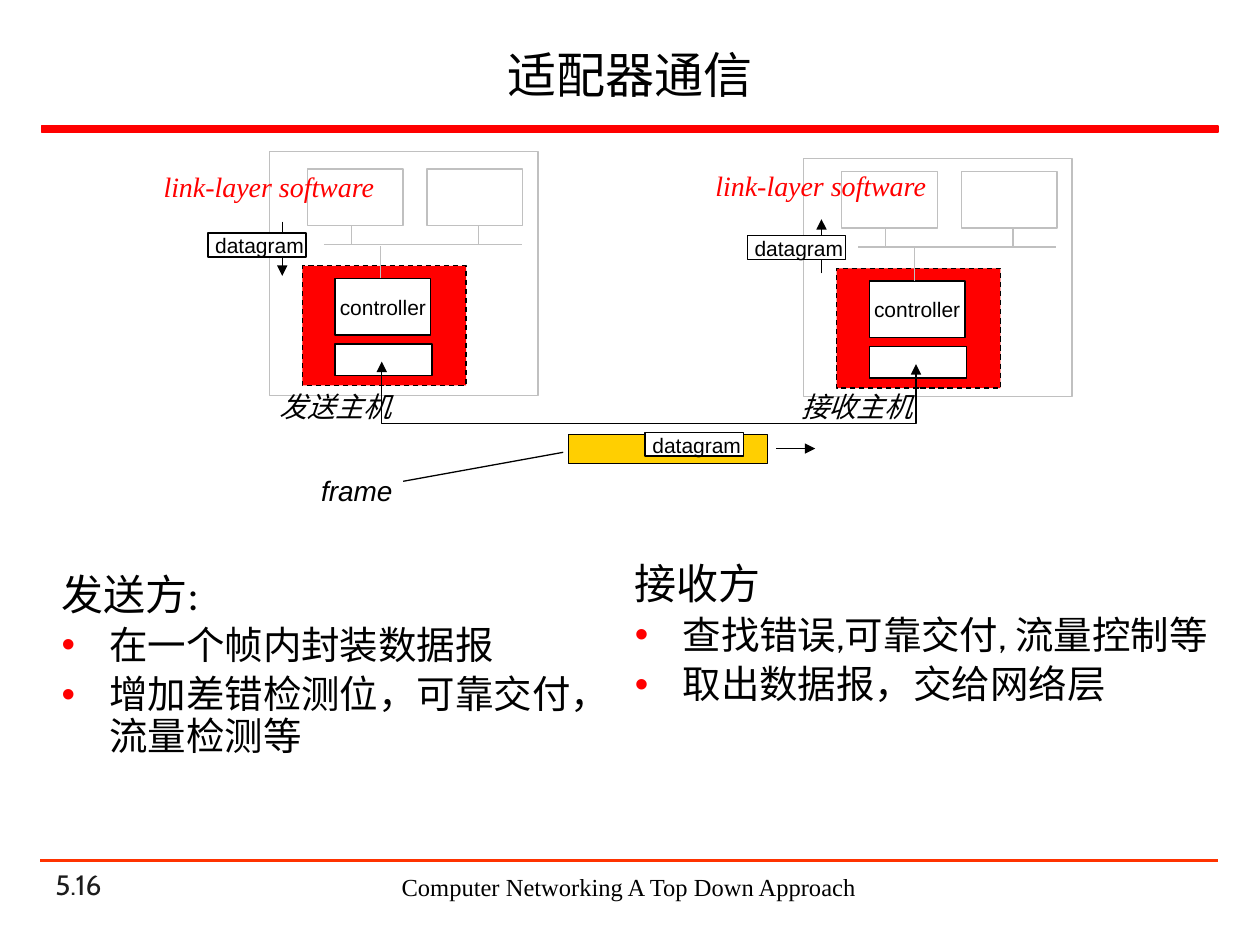
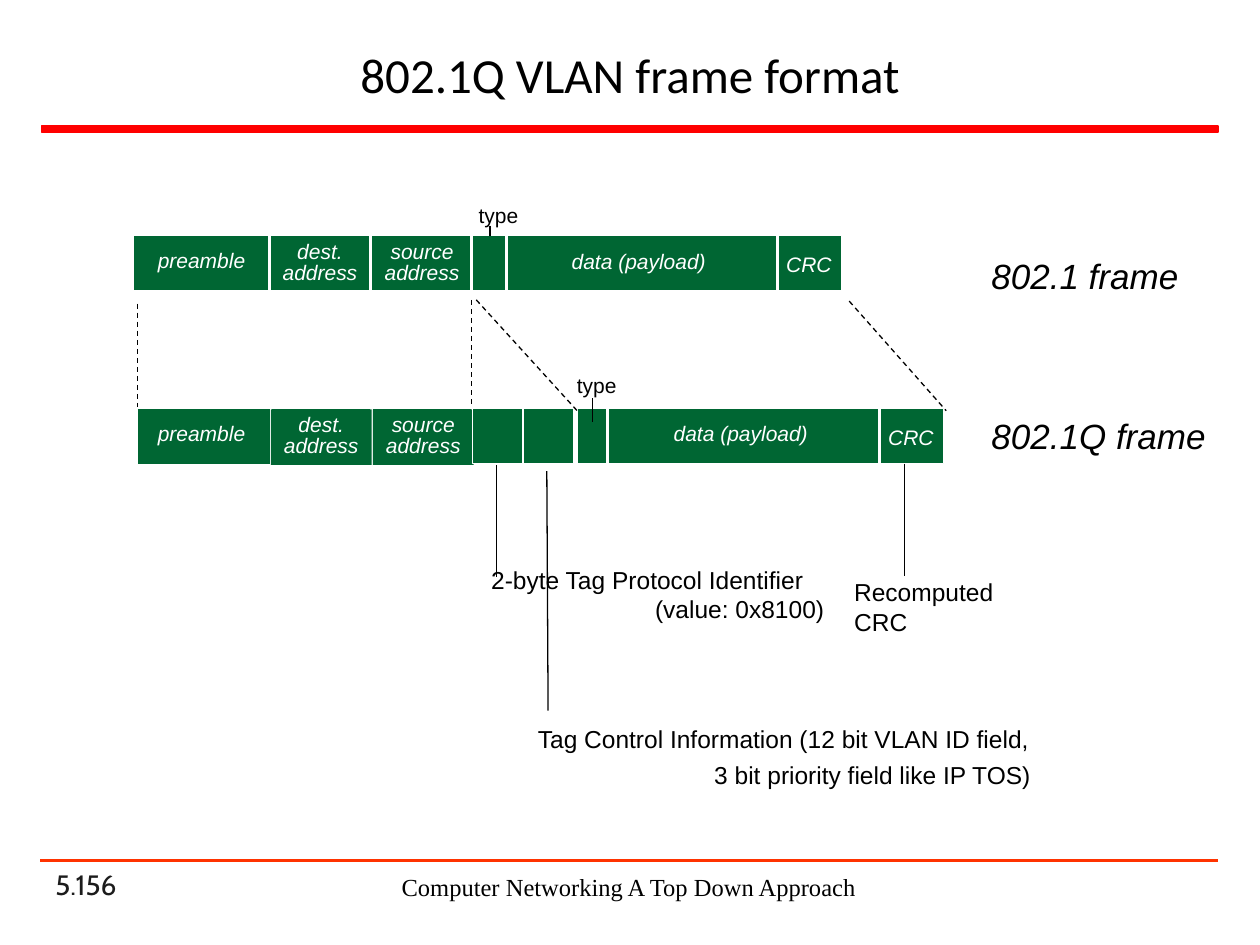
from dataclasses import dataclass
from typing import NamedTuple

from lxml import etree
from pptx import Presentation
from pptx.dml.color import RGBColor
from pptx.enum.dml import MSO_LINE
from pptx.enum.shapes import MSO_CONNECTOR, MSO_SHAPE
from pptx.enum.text import MSO_ANCHOR, MSO_AUTO_SIZE, PP_ALIGN
from pptx.oxml.ns import qn
from pptx.util import Inches, Pt

RECTANGLE = MSO_SHAPE.RECTANGLE
STRAIGHT = MSO_CONNECTOR.STRAIGHT
DASH = MSO_LINE.DASH
LEFT, CENTER = PP_ALIGN.LEFT, PP_ALIGN.CENTER
TOP, MIDDLE, BOTTOM = MSO_ANCHOR.TOP, MSO_ANCHOR.MIDDLE, MSO_ANCHOR.BOTTOM
GROW = MSO_AUTO_SIZE.SHAPE_TO_FIT_TEXT

WIDTH, HEIGHT = Inches(10), Inches(7.5)
COLUMNS, ROWS = 100, 75
COLORS = {
    "black": "000000", "white": "FFFFFF", "red": "FF0000", "rule": "FF3300",
    "number": "1C1C1C", "gray": "C0C0C0", "yellow": "FFCF01", "green": "006633",
}
SANS, SERIF, BODY, HEADING = "Arial", "Times New Roman", "Cabin", "Calibri"
HANGING = 3.8


class Area(NamedTuple):
    left: float
    top: float
    width: float
    height: float


class Point(NamedTuple):
    column: float
    row: float


@dataclass
class Label:
    text: str
    area: Area


@dataclass
class Bar:
    area: Area
    dividers: list[float]
    labels: list[Label]
    label_fill: str | None = None


@dataclass
class Host:
    shift: Point
    outline: Area
    name: Label
    software: Label
    datagram: Point
    arrow: tuple[Point, Point]


def across(columns: float) -> int:
    return round(WIDTH * columns / COLUMNS)


def down(rows: float) -> int:
    return round(HEIGHT * rows / ROWS)


def place(area: Area) -> tuple[int, int, int, int]:
    return across(area.left), down(area.top), across(area.width), down(area.height)


def paint(name: str) -> RGBColor:
    return RGBColor.from_string(COLORS[name])


def style_line(line, color: str, width: float, dashed=False, head=False, tail=False) -> None:
    line.color.rgb = paint(color)
    line.width = Pt(width)
    if dashed:
        line.dash_style = DASH
    outline = line._get_or_add_ln()
    for tag, wanted in (("a:headEnd", head), ("a:tailEnd", tail)):
        if wanted:
            etree.SubElement(outline, qn(tag)).set("type", "triangle")


def draw_box(page, area: Area, fill="white", line="black", width=0.75, dashed=False):
    box = page.shapes.add_shape(RECTANGLE, *place(area))
    box.shadow.inherit = False
    box.fill.solid()
    box.fill.fore_color.rgb = paint(fill)
    style_line(box.line, line, width, dashed)
    return box


def draw_line(page, start: Point, end: Point, color="black", width=0.75, **ends) -> None:
    line = page.shapes.add_connector(
        STRAIGHT, across(start.column), down(start.row), across(end.column), down(end.row))
    style_line(line.line, color, width, **ends)
    etree.SubElement(line._element.spPr, qn("a:effectLst"))


def draw_path(page, points: list[Point]) -> None:
    corners = [(across(point.column), down(point.row)) for point in points]
    builder = page.shapes.build_freeform(*corners[0], scale=1.0)
    builder.add_line_segments(corners[1:], close=False)
    wire = builder.convert_to_shape()
    wire.shadow.inherit = False
    wire.fill.background()
    style_line(wire.line, "black", 0.75, head=True, tail=True)


def add_frame(page, area: Area, anchor=TOP, wrap=False, fill=None):
    box = page.shapes.add_textbox(*place(area))
    if fill:
        box.fill.solid()
        box.fill.fore_color.rgb = paint(fill)
    frame = box.text_frame
    frame.word_wrap = wrap
    frame.vertical_anchor = anchor
    if not wrap:
        frame.auto_size = GROW
    return frame


def add_span(para, text: str, size: float, font: str, color="black", italic=False) -> None:
    span = para.add_run()
    span.text = text
    span.font.size = Pt(size)
    span.font.name = font
    span.font.italic = italic
    span.font.color.rgb = paint(color)


def write(frame, text: str, *, size=12, font=SANS, color="black", italic=False,
          align=LEFT, spacing=None, before=0, margin=0, indent=0, bullet=False):
    para = frame.add_paragraph() if frame.text else frame.paragraphs[0]
    para.alignment = align
    settings = para._p.get_or_add_pPr()
    settings.set("marL", str(across(margin)))
    settings.set("indent", str(across(indent)))
    if bullet:
        tint = etree.SubElement(settings, qn("a:buClr"))
        etree.SubElement(tint, qn("a:srgbClr")).set("val", COLORS["red"])
        etree.SubElement(settings, qn("a:buFont")).set("typeface", SANS)
        etree.SubElement(settings, qn("a:buChar")).set("char", "•")
    if spacing:
        para.line_spacing = spacing
    if before:
        para.space_before = Pt(before)
    add_span(para, text, size, font, color, italic)
    return para


def write_label(page, label: Label, **style) -> None:
    write(add_frame(page, label.area), label.text, **style)


def write_bullets(frame, items: list[str]) -> None:
    for item in items:
        write(frame, item, size=22, font=BODY, spacing=0.9, before=4.4,
              margin=HANGING, indent=-HANGING, bullet=True)


def add_page(deck, title: str, number: str):
    page = deck.slides.add_slide(deck.slide_layouts[6])
    write(add_frame(page, Area(3.4, 69.8, 20.8, 2.2), BOTTOM, True), number,
          size=16, font=BODY, color="number")
    draw_box(page, Area(3.3, 10, 93.4, 0.5), "red", "red", 1)
    draw_line(page, Point(3.2, 68.3), Point(96.7, 68.3), "rule", 1.5)
    write(add_frame(page, Area(29.5, 68.7, 40.8, 3.4), wrap=True),
          "Computer Networking A Top Down Approach", size=14, font=SERIF, align=CENTER)
    write(add_frame(page, Area(3.3, 2.4, 93.4, 7), MIDDLE, True), title,
          size=28, font=HEADING, align=CENTER)
    return page


def draw_datagram(page, corner: Point) -> None:
    draw_box(page, Area(corner.column, corner.row, 7.8, 1.9))
    write_label(page, Label("datagram", Area(corner.column - 0.4, corner.row - 0.5, 9.4, 3)))


def draw_host(page, host: Host) -> None:
    column, row = host.shift

    def moved(left: float, top: float, width: float, height: float) -> Area:
        return Area(left + column, top + row, width, height)

    def wire(x1: float, y1: float, x2: float, y2: float) -> None:
        draw_line(page, Point(x1 + column, y1 + row), Point(x2 + column, y2 + row), "gray")

    draw_box(page, host.outline, line="gray")
    draw_box(page, moved(24, 21.1, 13, 9.5), "red", dashed=True)
    draw_box(page, moved(26.6, 27.3, 7.7, 2.5))
    controller = draw_box(page, moved(26.6, 22.1, 7.6, 4.5)).text_frame
    controller.word_wrap = False
    controller.vertical_anchor = MIDDLE
    write(controller, "controller", align=CENTER)
    wire(25.7, 19.4, 41.4, 19.4)
    wire(30.2, 22.1, 30.2, 19.5)
    for left, stem in ((24.4, 27.9), (33.9, 38)):
        draw_box(page, moved(left, 13.4, 7.6, 4.5), line="gray")
        wire(stem, 19.4, stem, 17.9)
    draw_line(page, *host.arrow, tail=True)
    draw_datagram(page, host.datagram)
    write_label(page, host.name, size=16, italic=True)
    write_label(page, host.software, size=16, font=SERIF, color="red", italic=True)


def draw_bar(page, bar: Bar) -> None:
    draw_box(page, bar.area, "green", "white")
    start = bar.area.top - 0.1
    for column in bar.dividers:
        draw_line(page, Point(column, start), Point(column, start + 4.7), "white", 1.5)
    for label in bar.labels:
        frame = add_frame(page, label.area, fill=bar.label_fill)
        for line in label.text.split("\n"):
            write(frame, line, color="white", italic=True, align=CENTER, spacing=Pt(12))


def build_adapters(deck) -> None:
    page = add_page(deck, "适配器通信", "5.16")
    software = "link-layer software"
    hosts = [
        Host(Point(0, 0), Area(21.4, 12, 21.3, 19.4),
             Label("发送主机", Area(21.2, 30.4, 11, 3.7)),
             Label(software, Area(12, 13, 19.7, 3.7)),
             Point(16.5, 18.5), (Point(22.4, 17.6), Point(22.4, 21.9))),
        Host(Point(42.4, 0.2), Area(63.8, 12.6, 21.3, 18.9),
             Label("接收主机", Area(62.6, 30.4, 11, 3.7)),
             Label(software, Area(55.8, 12.9, 19.7, 3.7)),
             Point(59.3, 18.7), (Point(65.2, 21.7), Point(65.2, 17.4))),
    ]
    for host in hosts:
        draw_host(page, host)
    draw_path(page, [Point(30.3, 28.7), Point(30.3, 33.6), Point(72.7, 33.6), Point(72.7, 28.9)])
    draw_box(page, Area(45.1, 34.5, 15.8, 2.3), "yellow")
    draw_datagram(page, Point(51.2, 34.3))
    draw_line(page, Point(61.6, 35.6), Point(64.7, 35.6), tail=True)
    write_label(page, Label("frame", Area(24.5, 37.1, 7.7, 3.7)), size=16, italic=True)
    draw_line(page, Point(32, 38.2), Point(44.7, 35.9))

    sender = add_frame(page, Area(3.9, 44.6, 45.6, 20), wrap=True)
    heading = write(sender, "发送方", size=24, font=BODY, margin=HANGING, indent=-HANGING)
    add_span(heading, ":", 24, HEADING)
    write_bullets(sender, ["在一个帧内封装数据报", "增加差错检测位，可靠交付，流量检测等"])
    receiver = add_frame(page, Area(49.4, 44.2, 47.7, 17.7), wrap=True)
    write(receiver, "接收方", size=24, font=BODY, spacing=0.9)
    write_bullets(receiver, ["查找错误,可靠交付, 流量控制等", "取出数据报，交给网络层"])


def build_vlan(deck) -> None:
    page = add_page(deck, "802.1Q VLAN frame format", "5.156")
    dest, source = "dest.\naddress", "source\naddress"
    payload, check = "data (payload)", "CRC"
    bars = [
        Bar(Area(10.6, 18.7, 56.2, 4.4), [21.4, 29.4, 37.4, 40.2, 61.7], [
            Label("preamble", Area(11.5, 19.5, 9, 2.7)),
            Label(dest, Area(21.4, 18.8, 8, 4.4)),
            Label(source, Area(29.5, 18.8, 8, 4.4)),
            Label(payload, Area(44.2, 19.6, 13, 2.7)),
            Label(check, Area(61.4, 19.8, 5.6, 2.7))]),
        Bar(Area(10.9, 32.4, 26.8, 4.5), [21.5, 29.5, 37.5], [
            Label(dest, Area(21.5, 32.5, 8, 4.4)),
            Label(source, Area(29.6, 32.5, 8, 4.4)),
            Label("preamble", Area(11.5, 33.2, 9, 2.7))], "green"),
        Bar(Area(45.8, 32.4, 29.1, 4.4), [48.2, 69.8], [
            Label(payload, Area(52.3, 33.2, 13, 2.7)),
            Label(check, Area(69.5, 33.5, 5.6, 2.7))]),
        Bar(Area(37.5, 32.4, 8, 4.4), [41.5], []),
    ]
    for bar in bars:
        draw_bar(page, bar)
    for left, top, stem, start in ((37, 15.6, 38.9, 17.9), (44.8, 29.1, 47, 31.6)):
        write_label(page, Label("type", Area(left, top, 5.2, 3)))
        draw_line(page, Point(stem, start), Point(stem, 18.7 if top < 20 else 33.5))
    for x1, y1, x2, y2 in ((10.9, 24.1, 10.9, 32.3), (37.4, 23.8, 37.4, 32.2),
                           (37.8, 23.8, 45.9, 32.7), (67.4, 23.9, 75.1, 32.6)):
        draw_line(page, Point(x1, y1), Point(x2, y2), dashed=True)
    for x1, y1, x2, y2 in ((39.4, 36.9, 39.4, 45.8), (43.4, 37.4, 43.5, 56.4),
                           (71.8, 36.8, 71.8, 45.7)):
        draw_line(page, Point(x1, y1), Point(x2, y2))
    notes = [
        (Area(38, 44.3, 29.1, 5.7), "2-byte Tag Protocol Identifier", "(value: 0x8100)", 13, 0, None),
        (Area(41.7, 56.9, 41.8, 6.3), "Tag Control Information (12 bit VLAN ID field,",
         "3 bit priority field like IP TOS)", 14, 4, None),
        (Area(66.8, 45.7, 13.5, 5.3), "Recomputed", "CRC", 0, 4, 0.8),
    ]
    for area, first, second, margin, before, spacing in notes:
        frame = add_frame(page, area, MIDDLE, True)
        write(frame, first, size=14, spacing=spacing)
        write(frame, second, size=14, spacing=spacing, before=before, margin=margin)
    for text, top, width in (("802.1 frame", 19.7, 17), ("802.1Q frame", 32.4, 19.1)):
        write_label(page, Label(text, Area(77.7, top, width, 4.4)), size=20, italic=True)


def main() -> None:
    deck = Presentation()
    deck.slide_width, deck.slide_height = WIDTH, HEIGHT
    build_adapters(deck)
    build_vlan(deck)
    deck.save("out.pptx")


if __name__ == "__main__":
    main()
